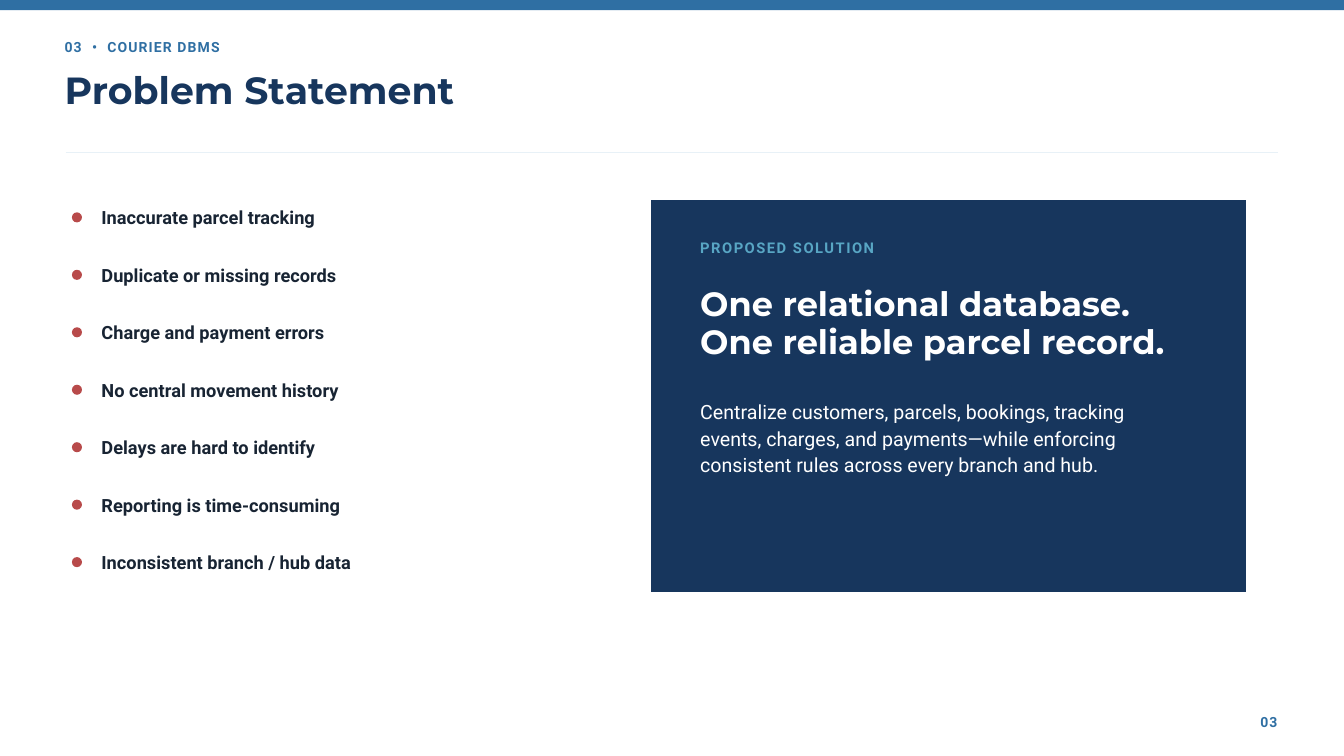
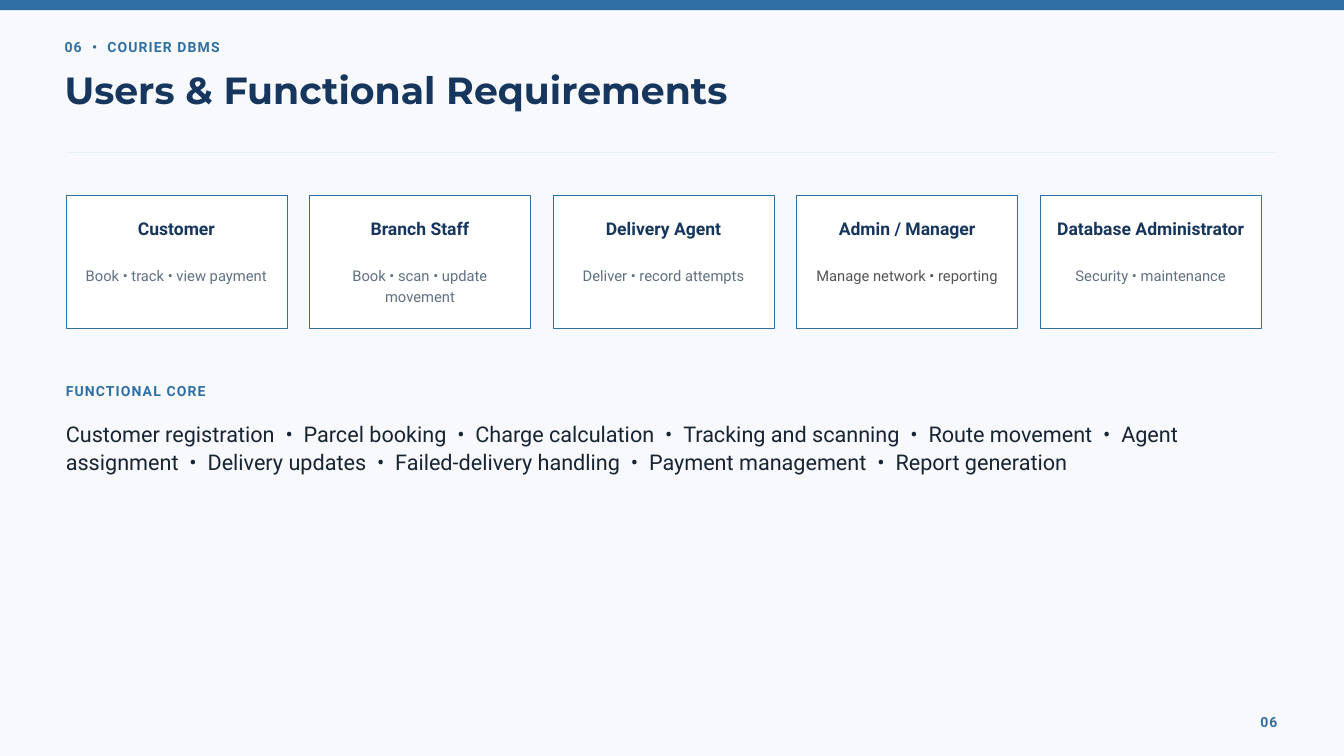
from lxml import etree
from pptx import Presentation, util as u
from pptx.dml.color import RGBColor
from pptx.enum import shapes, text
from pptx.oxml.ns import qn

COLORS = {
    "white": "FFFFFF", "pale": "F7F9FC", "rule": "E8F1F7",
    "navy": "17365D", "blue": "2F6FA3", "sky": "58A6C4",
    "ink": "182433", "slate": "607083", "gray": "545454", "red": "B84A4A",
}
HEAD, BODY = "Montserrat", "Roboto"
LEFT, CENTER, RIGHT = (text.PP_ALIGN.LEFT, text.PP_ALIGN.CENTER,
                       text.PP_ALIGN.RIGHT)


def color(name):
    return RGBColor.from_string(COLORS[name])


class Deck:
    """Holds the style and the current slide."""

    def __init__(self):
        self.prs = Presentation()
        self.prs.slide_width = u.Inches(20)
        self.prs.slide_height = u.Inches(11.25)
        self.slide = None

    def start(self, num, title, back):
        """Add a slide with the shared band, title, rule and number."""
        self.slide = self.prs.slides.add_slide(self.prs.slide_layouts[5])
        fill = self.slide.background.fill
        fill.solid()
        fill.fore_color.rgb = color(back)
        self.shape(0, 0, 20, 0.15, "blue")
        self.label(0.96, 0.53, 5.42, f"{num} • COURIER DBMS", wide=True)
        head = self.slide.shapes.title
        head.left, head.top = u.Inches(0.96), u.Inches(1.05)
        head.width, head.height = u.Inches(15.1), u.Inches(0.62)
        self.format(head.text_frame, title, 40.5, 44.5, "navy", True, HEAD)
        self.line(0.98, 19.02, 2.27)
        self.label(18.12, 10.57, 0.89, num, align=RIGHT)

    def shape(self, x, y, w, h, fill, edge=None, kind="RECTANGLE"):
        item = self.slide.shapes.add_shape(
            shapes.MSO_SHAPE[kind],
            u.Inches(x), u.Inches(y), u.Inches(w), u.Inches(h))
        item.shadow.inherit = False
        item.fill.solid()
        item.fill.fore_color.rgb = color(fill)
        if edge:
            item.line.color.rgb = color(edge)
            item.line.width = u.Pt(0.75)
        else:
            item.line.fill.background()

    def line(self, x1, x2, y):
        item = self.slide.shapes.add_connector(
            shapes.MSO_CONNECTOR.STRAIGHT,
            u.Inches(x1), u.Inches(y), u.Inches(x2), u.Inches(y))
        item.line.color.rgb = color("rule")
        item.line.width = u.Pt(1.5)
        etree.SubElement(item._element.spPr, qn("a:effectLst"))

    def text(self, x, y, w, h, words, size, lead, ink, bold=False, **style):
        box = self.slide.shapes.add_textbox(
            u.Inches(x), u.Inches(y), u.Inches(w), u.Inches(h))
        self.format(box.text_frame, words, size, lead, ink, bold, **style)

    def label(self, x, y, w, words, **style):
        """Small spaced blue caption."""
        self.text(x, y, w, 0.28, words, 15, 21, "blue", True, space=1.2,
                  **style)

    def format(self, frame, words, size, lead, ink, bold=False, font=BODY,
               align=LEFT, space=0, wide=False):
        frame.margin_left = frame.margin_right = 0
        frame.margin_top = frame.margin_bottom = 0
        frame.word_wrap = True
        frame.vertical_anchor = text.MSO_ANCHOR.TOP
        frame.auto_size = text.MSO_AUTO_SIZE.SHAPE_TO_FIT_TEXT
        frame.text = words
        for para in frame.paragraphs:
            para.alignment = align
            para.line_spacing = u.Pt(lead)
            para.space_before = u.Pt(0)
            if wide:
                self.widen(para)
            for run in para.runs:
                run.font.name = font
                run.font.size = u.Pt(size)
                run.font.bold = bold
                run.font.color.rgb = color(ink)
                # Spaces around separators take twice the usual room
                gap = 2 * space + size / 4 if run.text == " " else space
                if gap:
                    run._r.get_or_add_rPr().set("spc", str(round(gap * 100)))

    def widen(self, para):
        """Split a paragraph so that spaces beside bullets are own runs."""
        parts = para.text.split(" • ")
        para.text = parts[0]
        for part in parts[1:]:
            for bit in (" ", "•", " ", part):
                para.add_run().text = bit


def problem(deck):
    deck.start("03", "Problem Statement", "white")

    # Problem list
    issues = [
        "Inaccurate parcel tracking", "Duplicate or missing records",
        "Charge and payment errors", "No central movement history",
        "Delays are hard to identify", "Reporting is time-consuming",
        "Inconsistent branch / hub data",
    ]
    for i, issue in enumerate(issues):
        y = 3.02 + i * 0.855
        deck.shape(1.07, y + 0.14, 0.15, 0.15, "red", kind="OVAL")
        deck.text(1.51, y, 6.77, 0.36, issue, 19.5, 27.3, "ink", True)

    # Solution panel
    deck.shape(9.69, 2.98, 8.85, 5.83, "navy")
    deck.text(10.42, 3.51, 6.77, 0.29, "PROPOSED SOLUTION", 15.8, 22,
              "sky", True, space=1.6)
    deck.text(10.42, 4.25, 7.19, 1.11,
              "One relational database.\nOne reliable parcel record.",
              36, 40.3, "white", True, font=HEAD)
    deck.text(10.42, 5.91, 7.19, 1.14,
              "Centralize customers, parcels, bookings, tracking events, "
              "charges, and payments—while enforcing consistent rules "
              "across every branch and hub.", 21, 28.4, "white")


def users(deck):
    deck.start("06", "Users & Functional Requirements", "pale")

    # Role cards
    roles = [
        ("Customer", "Book • track • view payment", "slate"),
        ("Branch Staff", "Book • scan • update movement", "slate"),
        ("Delivery Agent", "Deliver • record attempts", "slate"),
        ("Admin / Manager", "Manage network • reporting", "gray"),
        ("Database Administrator", "Security • maintenance", "slate"),
    ]
    for i, (role, tasks, ink) in enumerate(roles):
        x = 0.98 + i * 3.625
        deck.shape(x, 2.9, 3.29, 1.98, "white", "blue")
        deck.text(x + 0.25, 3.19, 2.79, 0.35, role, 18.8, 26.2, "navy", True,
                  align=CENTER)
        deck.text(x + 0.25, 3.93, 2.79, 0.29, tasks, 15.8, 22, ink,
                  align=CENTER)

    # Functional core
    core = [
        "Customer registration", "Parcel booking", "Charge calculation",
        "Tracking and scanning", "Route movement", "Agent assignment",
        "Delivery updates", "Failed-delivery handling",
        "Payment management", "Report generation",
    ]
    deck.label(0.98, 5.65, 4.17, "FUNCTIONAL CORE")
    deck.text(0.98, 6.22, 17.19, 0.83, " • ".join(core), 23.2, 30.7, "ink",
              wide=True)


def main():
    deck = Deck()
    problem(deck)
    users(deck)
    deck.prs.save("out.pptx")


if __name__ == "__main__":
    main()
